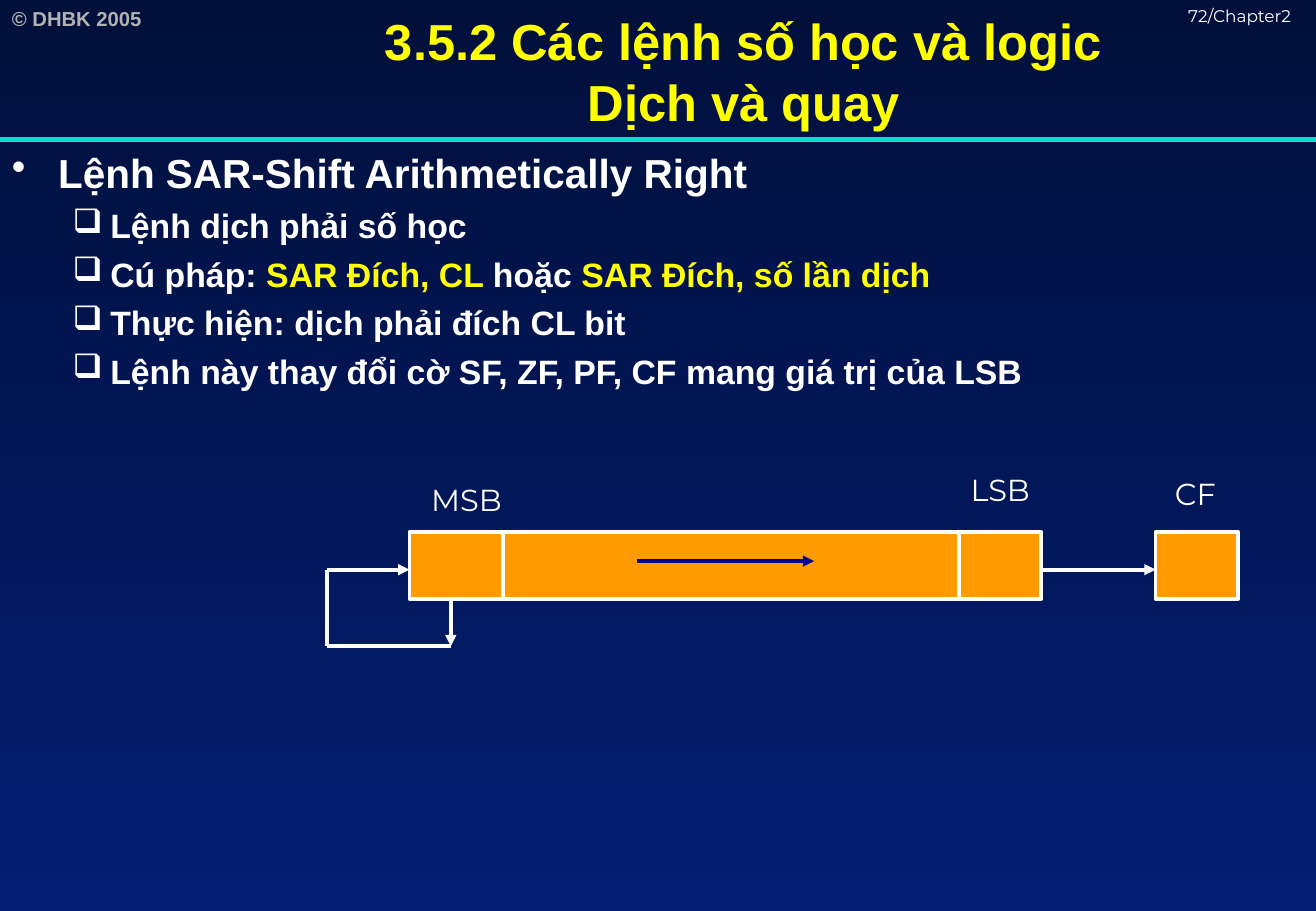
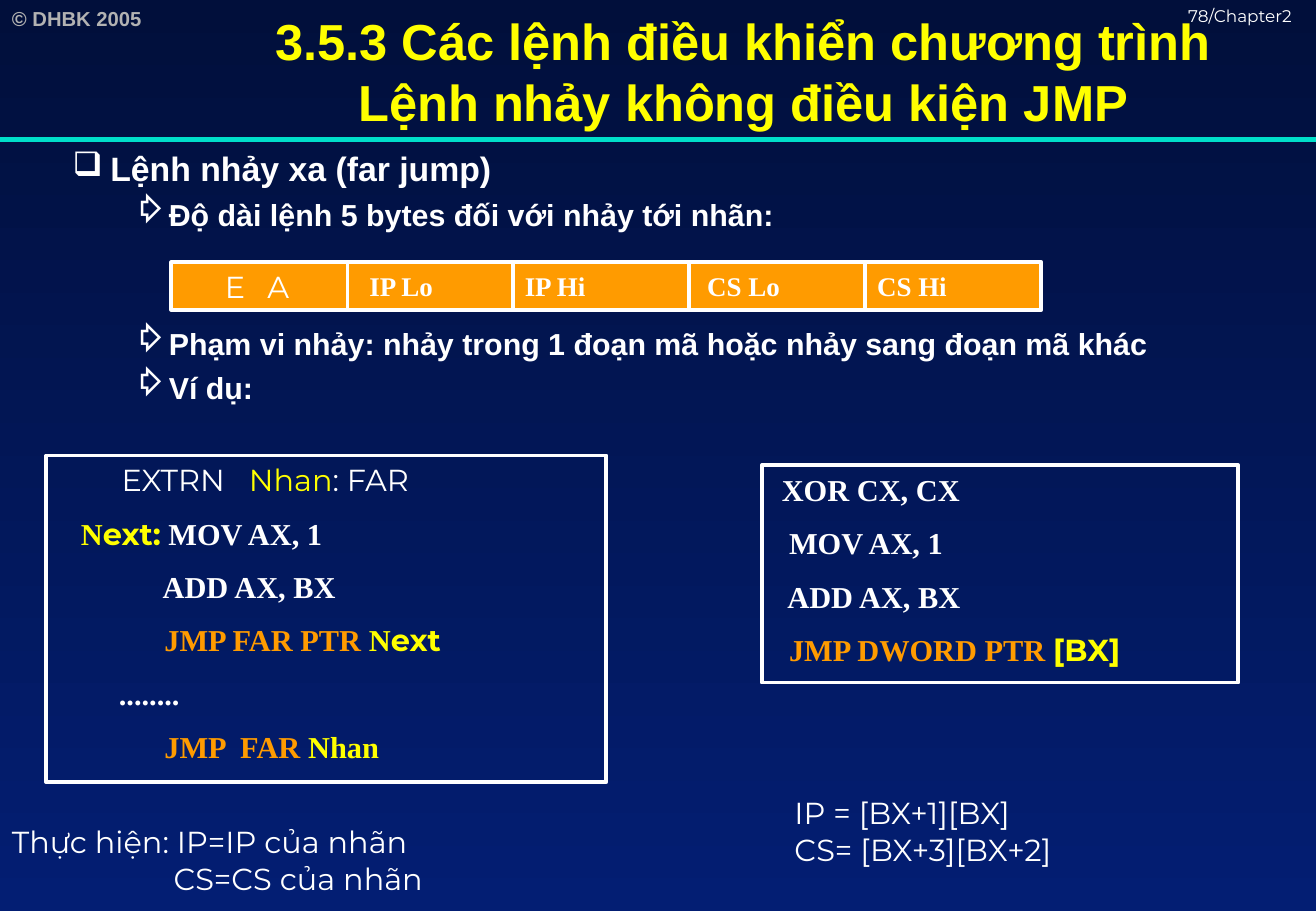
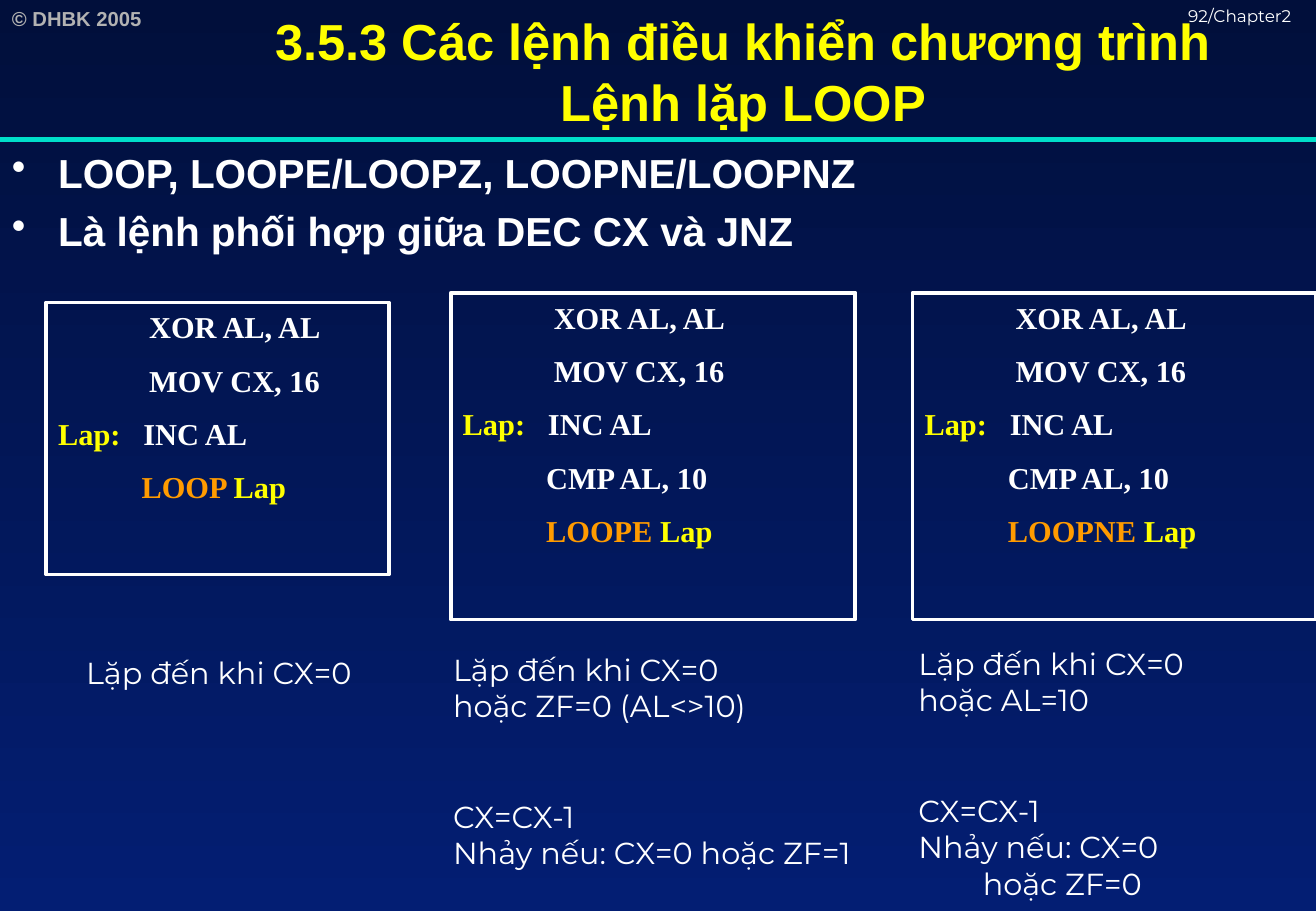
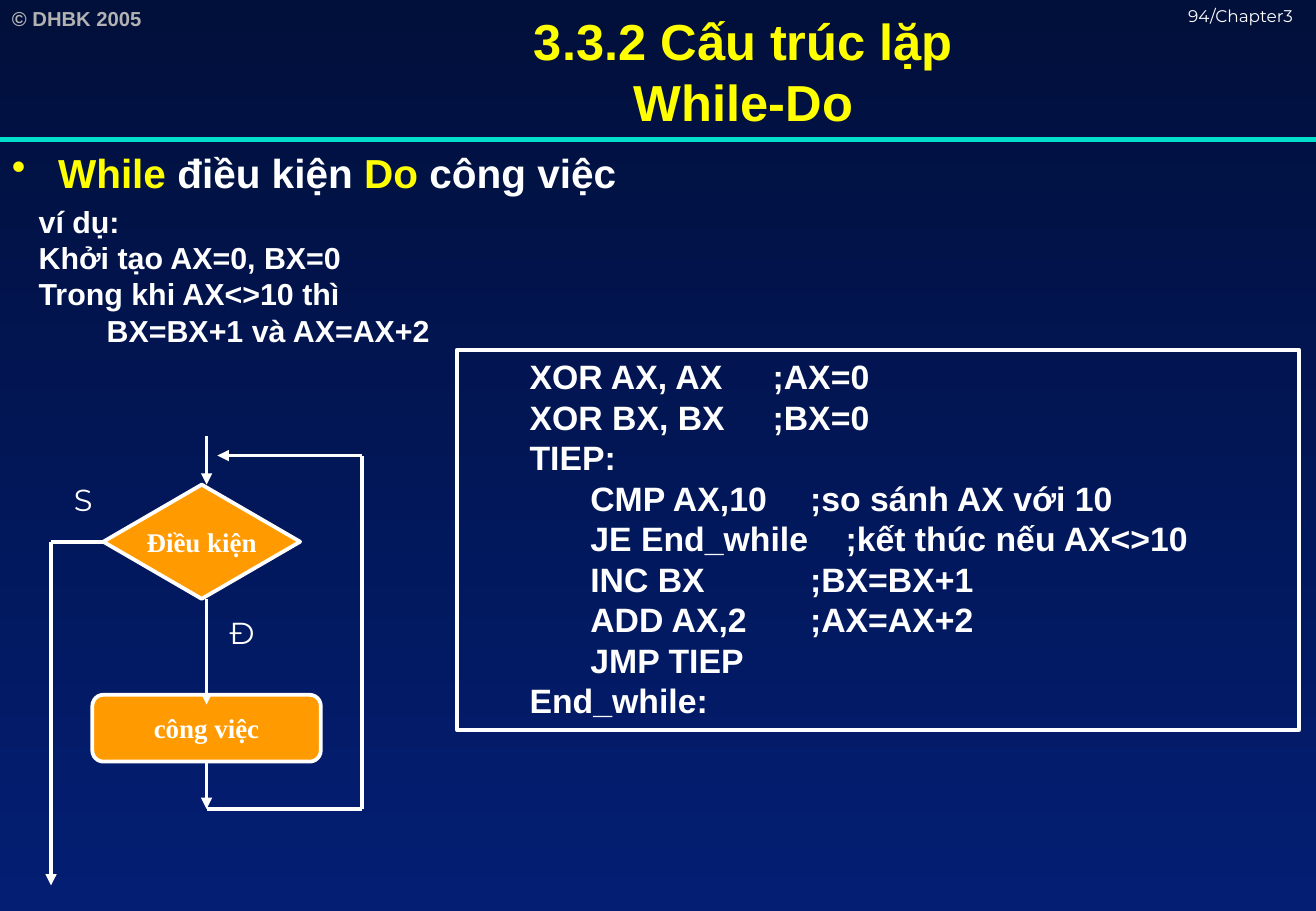
from dataclasses import dataclass
from itertools import pairwise

from lxml import etree
from pptx import Presentation
from pptx.dml import color
from pptx.enum import shapes, text
from pptx.oxml import ns
from pptx.util import Inches, Pt


@dataclass(frozen=True)
class Theme:
    white = "FFFFFF"
    yellow = "FFFF00"
    orange = "FF9B00"
    navy = "000099"
    grey = "B2B2B2"
    teal = "00DFCA"
    night = "010F3B"
    blue = "031E73"
    sans, serif, label = "Arial", "Times New Roman", "Montserrat"
    title_size, head, sub, normal, cell, copyright, page = 30, 24, 20, 18, 16, 12, 10
    line, rule = 2.25, 3


THEME = Theme()
# style name: colour, font, bold
STYLES = {
    "strong": (THEME.white, THEME.sans, True),
    "accent": (THEME.yellow, THEME.sans, True),
    "muted": (THEME.grey, THEME.sans, True),
    "plain": (THEME.white, THEME.label, False),
    "variable": (THEME.yellow, THEME.label, False),
    "mark": (THEME.yellow, THEME.label, True),
    "code": (THEME.white, THEME.serif, True),
    "keyword": (THEME.orange, THEME.serif, True),
    "name": (THEME.yellow, THEME.serif, True),
}
WIDTH, HEIGHT = 10.83, 7.5
BAND = 1.17


@dataclass
class Para:
    spans: list
    size: float = THEME.normal
    before: float = 0
    left: float = 0
    hang: float = 0
    bullet: str = ""
    tab: float = 0


def bullet(level, *spans, style="strong", before=None):
    size, left, hang, mark = (
        (THEME.head, 0.38, 0.38, "•"),
        (THEME.sub, 0.81, 0.31, "❑"),
        (THEME.normal, 1.25, 0.25, "⇨"),
    )[level]
    spans = [(span, style) if isinstance(span, str) else span for span in spans]
    before = round(size * 0.24, 1) if before is None else before
    return Para(spans, size, before, left, hang, mark)


def code(*lines):
    """Spaced code lines; each line is a string or a list of spans."""
    return [Para([(line, "code")] if isinstance(line, str) else line, before=10)
            for line in lines]


def note(*lines, style="plain"):
    """Plain lines; a tuple gives text, indent and space before."""
    rows = [(line, 0, 0) if isinstance(line, str) else line for line in lines]
    return [Para([(words, style)], left=left, before=before)
            for words, left, before in rows]


def loop_code(*ending):
    return code(
        "            XOR AL, AL",
        "            MOV CX, 16",
        [("Lap:", "name"), ("   INC AL", "code")],
        *ending,
    )


def loop_end(keyword):
    return [(f"           {keyword} ", "keyword"), ("Lap", "name")]


BYTE_EDGES = [1.41, 2.86, 4.22, 5.67, 7.12, 8.57]
BYTES = [  # paragraph, left inset
    (Para([("E\tA", "plain")], tab=0.35), 0.44),
    (Para([("IP Lo", "code")], THEME.cell), 0.18),
    (Para([("IP Hi", "code")], THEME.cell), 0.1),
    (Para([("CS Lo", "code")], THEME.cell), 0.15),
    (Para([("CS Hi", "code")], THEME.cell), 0.1),
]

JUMP_TITLE = "3.5.3 Các lệnh điều khiển chương trình"
PROGRAM = [
    "XOR AX, AX\t;AX=0",
    "XOR BX, BX\t;BX=0",
    "TIEP:",
    "\tCMP AX,10\t    ;so sánh AX với 10",
    "\tJE End_while    ;kết thúc nếu AX<>10",
    "\tINC BX\t\t    ;BX=BX+1",
    "\tADD AX,2\t    ;AX=AX+2",
    "\tJMP TIEP",
    "End_while:",
]

# places are left, top, width, height in inches
SLIDES = [
    {
        "title": "3.5.2 Các lệnh số học và logic\vDịch và quay",
        "page": "72/Chapter2",
        "bullets": [
            bullet(0, "Lệnh SAR-Shift Arithmetically Right"),
            bullet(1, "Lệnh dịch phải số học"),
            bullet(1, "Cú pháp: ", ("SAR Đích, CL ", "accent"), "hoặc ",
                   ("SAR Đích, số lần dịch", "accent")),
            bullet(1, "Thực hiện: dịch phải đích CL bit"),
            bullet(1, "Lệnh này thay đổi cờ SF, ZF, PF, CF mang giá trị của LSB"),
        ],
        "blocks": [
            ("RECTANGLE", (3.37, 4.38, 5.2, 0.55), None),
            ("RECTANGLE", (9.51, 4.38, 0.68, 0.55), None),
        ],
        "texts": [
            ((9.57, 3.86, 0.65, 0.4), note("CF")),
            ((3.45, 3.91, 0.88, 0.4), note("MSB")),
            ((7.89, 3.83, 0.8, 0.4), note("LSB")),
        ],
        "dividers": [[(x, 4.38), (x, 4.93)] for x in (4.14, 7.89)],
        "shift_arrows": [[(5.24, 4.62), (6.7, 4.62)]],
        "arrows": [
            [(8.57, 4.69), (9.51, 4.69)],
            [(3.71, 4.93), (3.71, 5.32)],
            [(3.71, 5.32), (2.69, 5.32), (2.69, 4.69), (3.37, 4.69)],
        ],
    },
    {
        "title": JUMP_TITLE + "\vLệnh nhảy không điều kiện JMP",
        "page": "78/Chapter2",
        "bullets": [
            bullet(1, "Lệnh nhảy xa (far jump)"),
            bullet(2, "Độ dài lệnh 5 bytes đối với nhảy tới nhãn:"),
            bullet(2, "Phạm vi nhảy: nhảy trong 1 đoạn mã hoặc nhảy sang đoạn mã khác",
                   before=55),
            bullet(2, "Ví dụ:"),
        ],
        "cells": [
            ((left, 2.16, right - left, 0.39), para, inset)
            for (left, right), (para, inset) in zip(pairwise(BYTE_EDGES), BYTES)
        ],
        "code_boxes": [
            ((0.38, 3.75, 4.61, 2.69), code(
                [("        EXTRN   ", "plain"), ("Nhan", "variable"), (": FAR", "plain")],
                [("   N", "name"), ("ext:", "mark"), (" MOV AX, 1", "code")],
                "              ADD AX, BX",
                [("              JMP FAR PTR ", "keyword"), ("N", "name"), ("ext", "mark")],
                "\t........",
                [("              JMP  FAR ", "keyword"), ("Nhan", "name")],
            )),
            ((6.27, 3.83, 3.92, 1.79), code(
                [(" ", "plain"), ("XOR CX, CX", "code")],
                "  MOV AX, 1",
                "  ADD AX, BX",
                [("  JMP DWORD PTR ", "keyword"), ("[BX]", "mark")],
            )),
        ],
        "texts": [
            ((0, 6.73, 4.16, 0.7),
             note("Thực hiện: IP=IP của nhãn", ("CS=CS của nhãn", 1.33, 0))),
            ((6.44, 6.49, 3.67, 0.7), note("IP = [BX+1][BX]", "CS= [BX+3][BX+2]")),
        ],
    },
    {
        "title": JUMP_TITLE + "\vLệnh lặp LOOP",
        "page": "92/Chapter2",
        "bullets": [
            bullet(0, "LOOP, LOOPE/LOOPZ, LOOPNE/LOOPNZ"),
            bullet(0, "Là lệnh phối hợp giữa DEC CX và JNZ"),
        ],
        "code_boxes": [
            ((0.38, 2.49, 2.82, 2.24), loop_code(loop_end("LOOP"))),
            ((3.71, 2.41, 3.33, 2.69),
             loop_code("           CMP AL, 10", loop_end("LOOPE"))),
            ((7.51, 2.41, 3.32, 2.69),
             loop_code("           CMP AL, 10", loop_end("LOOPNE"))),
        ],
        "texts": [
            ((0.61, 5.34, 2.53, 0.4), note("Lặp đến khi CX=0")),
            ((3.63, 5.31, 3.83, 1.92),
             note("Lặp đến khi CX=0", "hoặc ZF=0 (AL<>10)",
                  ("CX=CX-1", 0, 44), "Nhảy nếu: CX=0 hoặc ZF=1")),
            ((7.46, 5.26, 2.56, 2.2),
             note("Lặp đến khi CX=0", "hoặc AL=10", ("CX=CX-1", 0, 44),
                  "Nhảy nếu: CX=0", ("hoặc ZF=0", 0.53, 0))),
        ],
    },
    {
        "title": "3.3.2 Cấu trúc lặp\vWhile-Do",
        "page": "94/Chapter3",
        "bullets": [
            bullet(0, ("While", "accent"), " điều kiện ", ("Do", "accent"), " công việc"),
        ],
        "code_boxes": [
            ((3.76, 2.88, 6.93, 3.13),
             [Para([(line, "strong")], THEME.sub, left=0.5) for line in PROGRAM]),
        ],
        "blocks": [
            ("FLOWCHART_ALTERNATE_PROCESS", (0.76, 5.72, 1.88, 0.55), "công việc"),
            ("FLOWCHART_DECISION", (0.85, 3.99, 1.62, 0.94), "Điều kiện"),
        ],
        "texts": [
            ((0.51, 3.91, 0.4, 0.4), note("S")),
            ((1.79, 5.01, 0.45, 0.4), note("Đ")),
            ((0.22, 1.62, 3.6, 1.3),
             note("ví dụ:", "Khởi tạo AX=0, BX=0", "Trong khi AX<>10 thì",
                  ("BX=BX+1 và AX=AX+2", 0.56, 0), style="strong")),
        ],
        "arrows": [
            [(1.7, 3.59), (1.7, 3.99)],
            [(1.7, 4.93), (1.7, 5.8)],
            [(1.7, 6.27), (1.7, 6.66)],
            [(1.7, 6.66), (2.98, 6.66), (2.98, 3.75), (1.79, 3.75)],
            [(0.85, 4.46), (0.42, 4.46), (0.42, 7.29)],
        ],
    },
]


def rgb(value):
    return color.RGBColor.from_string(value)


def place(at):
    return [Inches(round(value, 2)) for value in at]


def style_run(run, style, size):
    colour, run.font.name, run.font.bold = STYLES[style]
    run.font.size = Pt(size)
    run.font.color.rgb = rgb(colour)


def write(frame, paras, wrap=True, align=text.PP_ALIGN.LEFT, anchor=text.MSO_ANCHOR.TOP):
    frame.word_wrap = wrap
    frame.vertical_anchor = anchor
    for index, para in enumerate(paras):
        line = frame.paragraphs[0] if index == 0 else frame.add_paragraph()
        props = line._p.get_or_add_pPr()
        if para.left:
            props.set("marL", str(Inches(para.left)))
            props.set("indent", str(Inches(-para.hang)))
        if para.bullet:
            etree.SubElement(props, ns.qn("a:buChar"), char=para.bullet)
        if para.tab:
            tabs = etree.SubElement(props, ns.qn("a:tabLst"))
            etree.SubElement(tabs, ns.qn("a:tab"), pos=str(Inches(para.tab)), algn="l")
        line.alignment = align
        if index and para.before:
            line.space_before = Pt(para.before)
        for words, style in para.spans:
            run = line.add_run()
            run.text = words
            style_run(run, style, para.size)


def add_text(page, at, paras):
    box = page.shapes.add_textbox(*place(at))
    write(box.text_frame, paras)
    return box


def add_block(page, at, kind="RECTANGLE", fill=THEME.orange):
    block = page.shapes.add_shape(shapes.MSO_SHAPE[kind], *place(at))
    block.shadow.inherit = False
    if fill:
        block.fill.solid()
        block.fill.fore_color.rgb = rgb(fill)
    else:
        block.fill.background()
    block.line.color.rgb = rgb(THEME.white)
    block.line.width = Pt(THEME.line)
    return block


def add_line(page, start, end, colour=THEME.white, width=THEME.line, arrow=False):
    line = page.shapes.add_connector(
        shapes.MSO_CONNECTOR.STRAIGHT, *place((*start, *end)))
    line.line.color.rgb = rgb(colour)
    line.line.width = Pt(width)
    if arrow:
        etree.SubElement(line.line._get_or_add_ln(), ns.qn("a:tailEnd"), type="triangle")
    etree.SubElement(line._element.spPr, ns.qn("a:effectLst"))
    return line


def add_path(page, points, colour=THEME.white, arrow=True):
    """Joined straight lines, with an arrowhead on the last one."""
    for start, end in pairwise(points):
        add_line(page, start, end, colour, arrow=arrow and end == points[-1])


def dress_master(deck, page):
    """Gives the master the background, copyright line and rule of all slides."""
    master = deck.slide_master
    fill = master.background.fill
    fill.gradient()
    fill.gradient_angle = 270
    for stop, colour in zip(fill.gradient_stops, (THEME.night, THEME.blue)):
        stop.color.rgb = rgb(colour)
    shared = [
        add_text(page, (0, 0, 1.57, 0.3),
                 [Para([("© DHBK 2005", "muted")], THEME.copyright)]),
        add_line(page, (0, 1.15), (WIDTH, 1.15), THEME.teal, THEME.rule),
    ]
    for number, shape in enumerate(shared, start=100):
        shape._element.xpath(".//p:cNvPr")[0].set("id", str(number))
        master.shapes._spTree.append(shape._element)


def add_title(page, words):
    title = page.shapes.title
    title.left, title.top, title.width, title.height = place((1.41, 0, 9.42, BAND))
    frame = title.text_frame
    frame.text = words
    frame.auto_size = text.MSO_AUTO_SIZE.NONE
    frame.vertical_anchor = text.MSO_ANCHOR.MIDDLE
    frame.paragraphs[0].alignment = text.PP_ALIGN.CENTER
    for run in frame.paragraphs[0].runs:
        style_run(run, "accent", THEME.title_size)


def fill_page(page, content):
    add_title(page, content["title"])
    add_text(page, (9.68, 0, 1.15, 0.25),
             [Para([(content["page"], "plain")], THEME.page)])
    add_text(page, (0, BAND, WIDTH, HEIGHT - BAND), content["bullets"])
    for at, para, inset in content.get("cells", []):
        frame = add_block(page, at).text_frame
        frame.margin_left = Inches(inset)
        frame.margin_right = frame.margin_top = frame.margin_bottom = 0
        write(frame, [para], anchor=text.MSO_ANCHOR.MIDDLE)
    for at, lines in content.get("code_boxes", []):
        write(add_block(page, at, fill=None).text_frame, lines)
    for kind, at, words in content.get("blocks", []):
        block = add_block(page, at, kind)
        if words:
            write(block.text_frame, [Para([(words, "code")], THEME.cell)], wrap=False,
                  align=text.PP_ALIGN.CENTER, anchor=text.MSO_ANCHOR.MIDDLE)
    for at, paras in content.get("texts", []):
        add_text(page, at, paras)
    for points in content.get("dividers", []):
        add_path(page, points, arrow=False)
    for points in content.get("shift_arrows", []):
        add_path(page, points, THEME.navy)
    for points in content.get("arrows", []):
        add_path(page, points)


def main():
    deck = Presentation()
    deck.slide_width, deck.slide_height = Inches(WIDTH), Inches(HEIGHT)
    title_only = deck.slide_layouts[5]
    pages = [deck.slides.add_slide(title_only) for _ in SLIDES]
    dress_master(deck, pages[0])
    for page, content in zip(pages, SLIDES):
        fill_page(page, content)
    deck.save("out.pptx")


if __name__ == "__main__":
    main()
